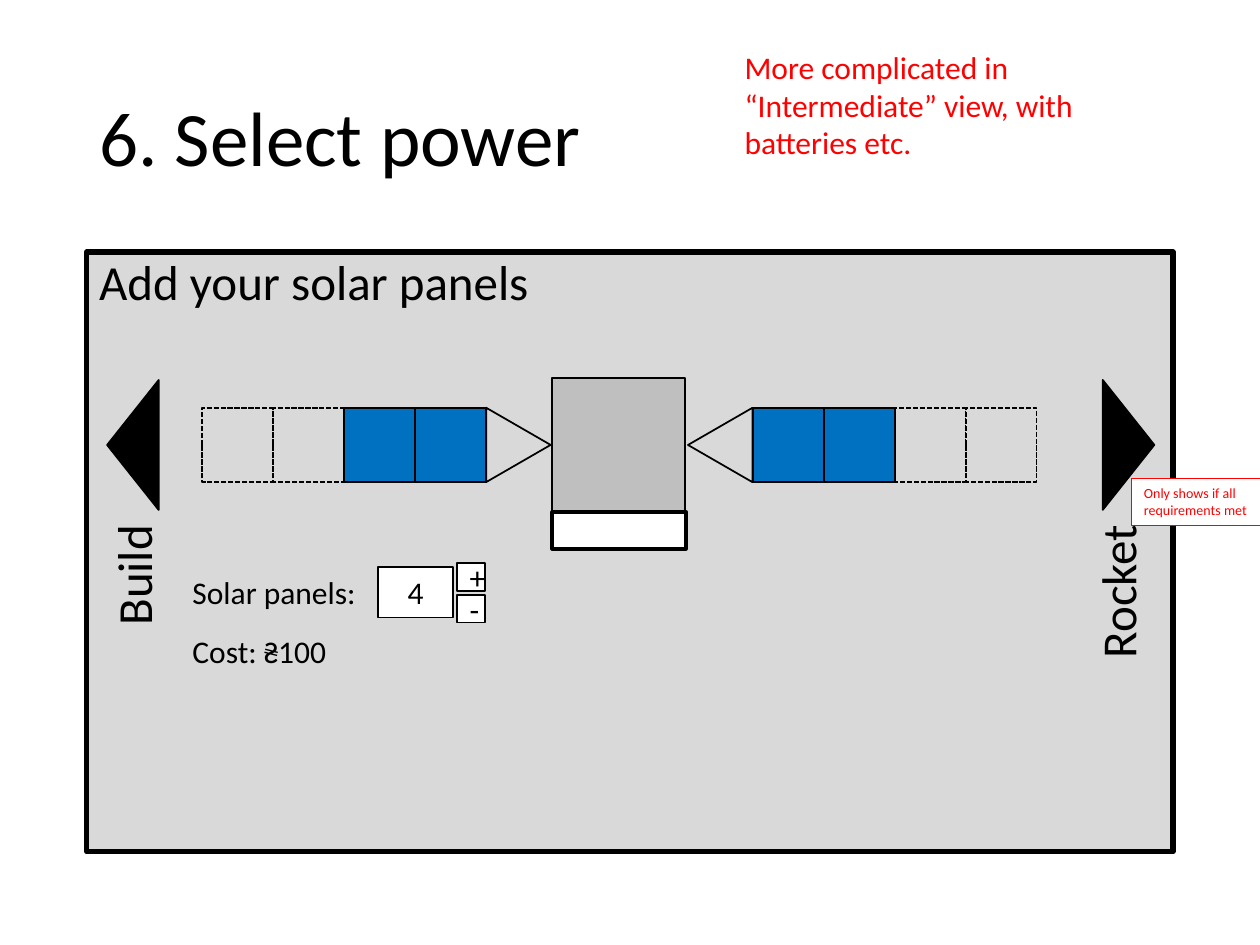
from dataclasses import dataclass

from pptx import Presentation
from pptx.dml.color import RGBColor
from pptx.enum.dml import MSO_LINE
from pptx.enum.shapes import MSO_SHAPE
from pptx.enum.text import MSO_ANCHOR, MSO_AUTO_SIZE, PP_ALIGN
from pptx.util import Cm, Pt


@dataclass(frozen=True)
class Theme:
    font: str = "Calibri"
    black: str = "000000"
    white: str = "FFFFFF"
    pale: str = "D9D9D9"
    gray: str = "BFBFBF"
    blue: str = "0070C0"
    red: str = "FF0000"
    title: int = 44
    head: int = 28
    body: int = 18
    note: int = 8


THEME = Theme()
RECT = MSO_SHAPE.RECTANGLE
WEDGE = MSO_SHAPE.ISOSCELES_TRIANGLE
MID = MSO_ANCHOR.MIDDLE
MID_Y = 8.97
PITCH = 1.43


def color(code):
    return RGBColor.from_string(code)


def write(shape, text, size, ink=THEME.black, align=PP_ALIGN.LEFT,
          anchor=MSO_ANCHOR.TOP, space=1.0, grow=False):
    frame = shape.text_frame
    frame.word_wrap = True
    frame.vertical_anchor = anchor
    if grow:
        frame.auto_size = MSO_AUTO_SIZE.SHAPE_TO_FIT_TEXT
    para = frame.paragraphs[0]
    para.alignment = align
    para.line_spacing = space
    run = para.add_run()
    run.text = text
    run.font.name = THEME.font
    run.font.size = Pt(size)
    run.font.color.rgb = color(ink)


def label(shapes, text, left, top, width, height, size=THEME.body, turn=0, **style):
    box = shapes.add_textbox(Cm(left), Cm(top), Cm(width), Cm(height))
    box.rotation = turn
    write(box, text, size, **style)


def block(shapes, left, top, width, height, kind=RECT, fill=None,
          edge=THEME.black, weight=1, turn=0, dash=False):
    shape = shapes.add_shape(kind, Cm(left), Cm(top), Cm(width), Cm(height))
    shape.shadow.inherit = False
    shape.rotation = turn
    if fill:
        shape.fill.solid()
        shape.fill.fore_color.rgb = color(fill)
    else:
        shape.fill.background()
    shape.line.color.rgb = color(edge)
    shape.line.width = Pt(weight)
    if dash:
        shape.line.dash_style = MSO_LINE.SQUARE_DOT
    return shape


def pivot(shapes, mid_x, mid_y, width, height, turn, **style):
    return block(shapes, mid_x - width / 2, mid_y - height / 2,
                 width, height, turn=turn, **style)


def panel(shapes, mid_x, full):
    pivot(shapes, mid_x, MID_Y, 1.5, PITCH, 90,
          fill=THEME.blue if full else None, dash=not full)


def craft(shapes):
    group = shapes.add_group_shape().shapes
    pivot(group, 12.47, MID_Y, 2.69, 2.69, 90, fill=THEME.gray)
    pivot(group, 12.48, 10.69, 0.74, 2.69, 90, fill=THEME.white, weight=2.25)
    for mid_x, turn in ((10.45, 90), (14.52, 270)):
        pivot(shapes, mid_x, MID_Y, 1.5, 1.3, turn, kind=WEDGE)
    for full in (True, False):
        for start, step in ((9.08, -PITCH), (15.89, PITCH)):
            for spot in range(4):
                if (spot < 2) == full:
                    panel(shapes, start + spot * step, full)


def field(shapes, text, left, top, width, height):
    box = block(shapes, left, top, width, height, fill=THEME.white)
    write(box, text, THEME.body, align=PP_ALIGN.CENTER, anchor=MID)


def count(shapes):
    for text, top in (("Solar panels:", 11.43), ("Cost: ₴100", 12.62)):
        label(shapes, text, 3.63, top, 3.99, 1.02, grow=True)
    field(shapes, "4", 7.62, 11.43, 1.52, 1.02)
    for sign, top in (("+", 11.35), ("-", 11.99)):
        field(shapes, sign, 9.22, top, 0.56, 0.56)


def route(shapes, text, mid_x, turn, left):
    pivot(shapes, mid_x, MID_Y, 2.62, 1.04, turn, kind=WEDGE, fill=THEME.black)
    label(shapes, text, left, 11.3, 3.38, 1.45, THEME.head, turn=270,
          align=PP_ALIGN.RIGHT, grow=True)


def main():
    deck = Presentation()
    deck.slide_width, deck.slide_height = Cm(25.4), Cm(19.05)
    shapes = deck.slides.add_slide(deck.slide_layouts[6]).shapes
    label(shapes, "6. Select power", 1.75, 1.02, 21.9, 3.68, THEME.title,
          anchor=MID, space=0.9)
    screen = block(shapes, 1.75, 5.08, 21.9, 12.09, fill=THEME.pale, weight=3)
    write(screen, "Add your solar panels", THEME.head, space=0.9)
    craft(shapes)
    count(shapes)
    route(shapes, "Build", 2.68, 270, 0.99)
    route(shapes, "Rocket", 22.75, 90, 20.83)
    label(shapes, "More complicated in “Intermediate” view, with batteries etc.",
          14.76, 0.84, 9.5, 2.57, ink=THEME.red, grow=True)
    hint = block(shapes, 22.81, 9.65, 2.9, 0.94, fill=THEME.white,
                 edge=THEME.red, weight=0.75)
    write(hint, "Only shows if all requirements met", THEME.note,
          ink=THEME.red, grow=True)
    deck.save("out.pptx")


if __name__ == "__main__":
    main()
